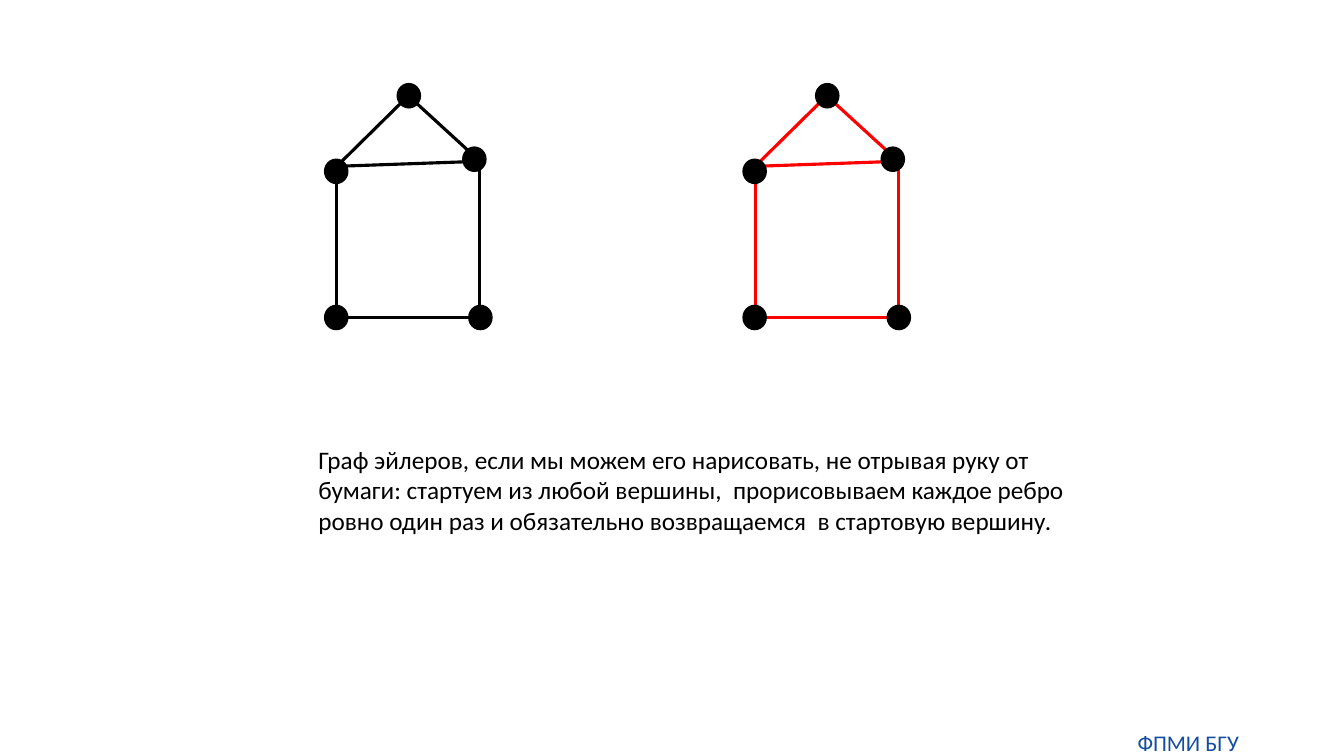
import pptx
import pptx.util
import pptx.dml.color
import pptx.enum.shapes
import pptx.enum.text
import pptx.oxml.ns
import lxml.etree

Inches = pptx.util.Inches
COLORS = {"black": "000000", "red": "FF0000", "footer": "144E9D"}

# Offsets in inches from the graph's top left corner
EDGE_ENDS = {
    "roof": (0.83, 0.12),
    "left": (0.12, 0.82),
    "right": (1.54, 0.77),
    "bottom left": (0.12, 2.32),
    "bottom right": (1.54, 2.32),
}
EDGES = [
    ("left", "roof"),
    ("right", "roof"),
    ("left", "right"),
    ("left", "bottom left"),
    ("right", "bottom right"),
    ("bottom left", "bottom right"),
]
VERTICES = [(0.72, 0), (0, 0.75), (1.37, 0.63), (0, 2.2), (1.43, 2.2)]
VERTEX_SIZE = (0.23, 0.24)


def rgb(name):
    return pptx.dml.color.RGBColor.from_string(COLORS[name])


def draw_line_style(line, color, width):
    line.color.rgb = rgb(color)
    line.width = pptx.util.Pt(width)


def add_edge(slide, start, end, color):
    edge = slide.shapes.add_connector(
        pptx.enum.shapes.MSO_CONNECTOR.STRAIGHT,
        *(Inches(value) for value in (*start, *end)))
    draw_line_style(edge.line, color, 2.25)
    lxml.etree.SubElement(edge._element.spPr, pptx.oxml.ns.qn("a:effectLst"))


def add_vertex(slide, left, top):
    vertex = slide.shapes.add_shape(
        pptx.enum.shapes.MSO_SHAPE.OVAL,
        *(Inches(value) for value in (left, top, *VERTEX_SIZE)))
    vertex.shadow.inherit = False
    vertex.fill.solid()
    vertex.fill.fore_color.rgb = rgb("black")
    draw_line_style(vertex.line, "black", 1)


def add_house_graph(slide, left, top, edge_color):
    """Draw the five-vertex graph, with its vertices over its edges."""
    ends = {name: (left + dx, top + dy) for name, (dx, dy) in EDGE_ENDS.items()}
    for start, end in EDGES:
        add_edge(slide, ends[start], ends[end], edge_color)
    for dx, dy in VERTICES:
        add_vertex(slide, left + dx, top + dy)


def add_text(slide, box, text, size, color, align, frame_format):
    text_box = slide.shapes.add_textbox(*(Inches(value) for value in box))
    frame = text_box.text_frame
    for attribute, value in frame_format.items():
        setattr(frame, attribute, value)
    paragraph = frame.paragraphs[0]
    paragraph.alignment = align
    run = paragraph.add_run()
    run.text = text
    font_format = {"name": "Calibri", "size": pptx.util.Pt(size)}
    for attribute, value in font_format.items():
        setattr(run.font, attribute, value)
    run.font.color.rgb = rgb(color)


def add_definition(slide, box):
    add_text(
        slide, box,
        "Граф эйлеров, если мы можем его нарисовать, не отрывая руку от бумаги: "
        "стартуем из любой вершины,  прорисовываем каждое ребро ровно один раз "
        "и обязательно возвращаемся  в стартовую вершину.",
        18, "black", pptx.enum.text.PP_ALIGN.LEFT, {"word_wrap": True})


def add_footer(slide, box):
    margins = ("margin_left", "margin_top", "margin_right", "margin_bottom")
    add_text(
        slide, box, "ФПМИ БГУ", 16, "footer", pptx.enum.text.PP_ALIGN.CENTER,
        {"word_wrap": True, **dict.fromkeys(margins, 0)})


def main():
    presentation = pptx.Presentation()
    presentation.slide_width = Inches(13.33)
    presentation.slide_height = Inches(7.5)
    slide = presentation.slides.add_slide(presentation.slide_layouts[6])
    add_house_graph(slide, 3.22, 0.83, "black")
    add_house_graph(slide, 7.37, 0.83, "red")
    add_definition(slide, (3.06, 4.36, 7.67, 1.01))
    add_footer(slide, (11.22, 7.23, 1.13, 0.27))
    presentation.save("out.pptx")


if __name__ == "__main__":
    main()
